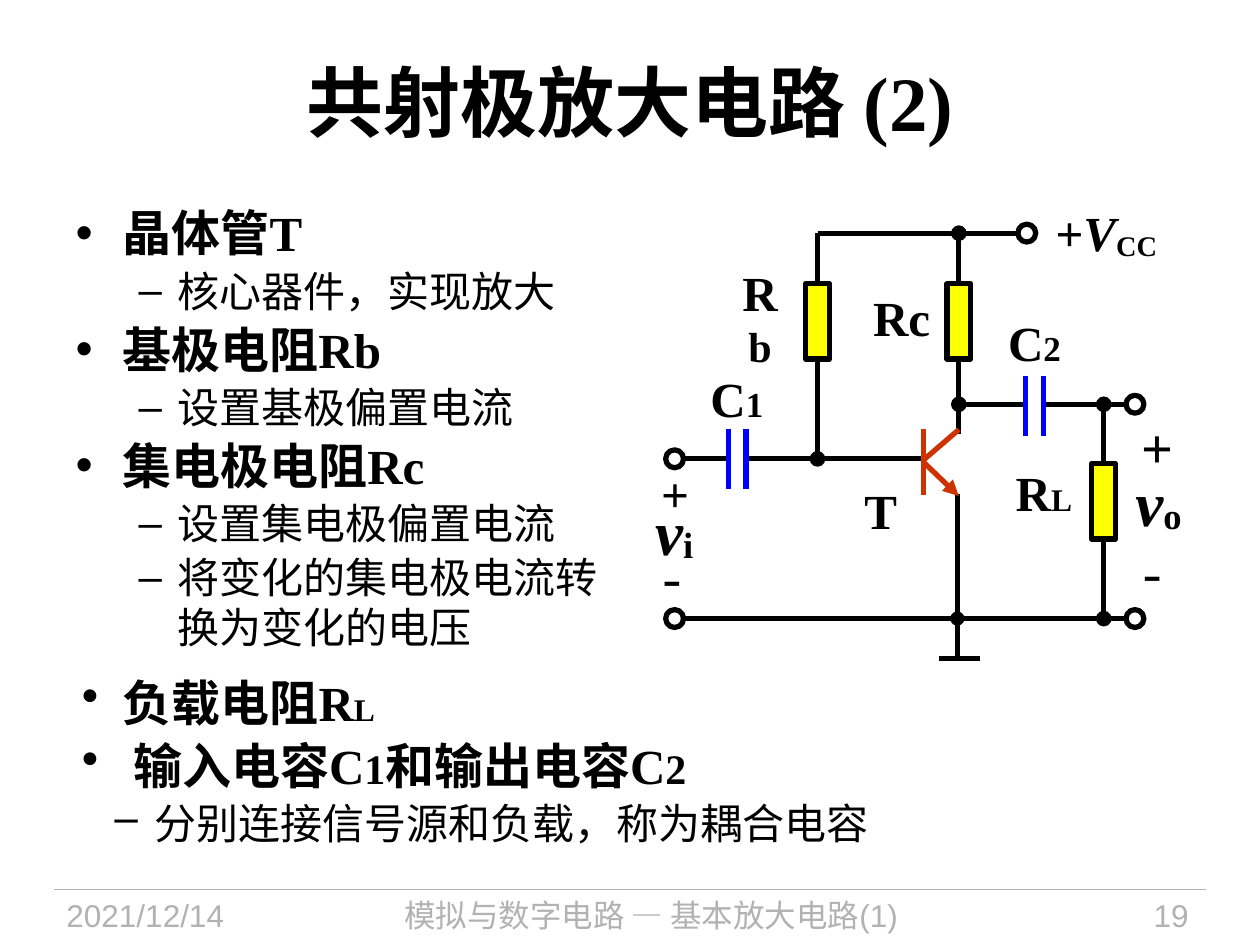
"""Build the slide about the common-emitter amplifier circuit."""
import pptx
import pptx.dml.color
import pptx.enum.shapes
import pptx.enum.text
import pptx.oxml
import pptx.oxml.ns
import pptx.util

Cm = pptx.util.Cm
Pt = pptx.util.Pt
SHAPE = pptx.enum.shapes.MSO_SHAPE
ALIGN = pptx.enum.text.PP_ALIGN
ANCHOR = pptx.enum.text.MSO_ANCHOR

SERIF, SANS = "Times New Roman", "Arial"
BLACK, GREY, BLUE, RED, YELLOW = "000000", "B2B2B2", "0000FF", "CC3300", "FFFF00"

TITLE = [("共射极放大电路 ", {}), ("(2)", {"name": SERIF})]
TITLE_FRAME = (1.27, 0.43, 22.86, 3.18)

BODY_FRAME = (1.27, 3.96, 11.33, 12.9)
BODY = [
    (0, 0.95, -0.95, [("晶体管T", {})]),
    (1, 2.06, -0.79, [("核心器件，实现放大", {})]),
    (0, 0.95, -0.95, [("基极电阻Rb", {})]),
    (1, 2.06, -0.79, [("设置基极偏置电流", {})]),
    (0, 0.95, -0.95, [("集电极电阻Rc", {})]),
    (1, 2.06, -0.79, [("设置集电极偏置电流", {})]),
    (1, 2.06, -0.79, [("将变化的集电极电流转换为变化的电压", {})]),
]
MORE_FRAME = (1.4, 13.44, 17.7, 3.89)
MORE = [
    (0, 0.83, -0.83, [("负载电阻R", {}), ("L", {"size": 18})]),
    (0, 1.04, -1.04, [("输入电容C", {}), ("1", {"size": 24}),
                      ("和输出电容C", {}), ("2", {"size": 24})]),
    (1, 1.47, -0.81, [("分别连接信号源和负载，称为耦合电容", {})]),
]

FOOTER = [
    ((1.09, 17.93, 4.78, 1.12), ALIGN.LEFT, "2021/12/14"),
    ((6.32, 17.93, 13.61, 1.12), ALIGN.CENTER, "模拟与数字电路 — 基本放大电路(1)"),
    ((20.83, 17.93, 3.38, 1.12), ALIGN.RIGHT, "19"),
]

PART_LABELS = [
    ((14.48, 5.66, 1.68, 1.45), [("R", {}), ("b", {"size": 24})]),
    ((17.35, 5.66, 1.65, 1.45), [("Rc", {})]),
    ((14.07, 7.29, 1.57, 1.45), [("C", {}), ("1", {"size": 20})]),
    ((20.07, 6.17, 1.57, 1.45), [("C", {}), ("2", {"size": 20})]),
    ((17.17, 9.55, 1.17, 1.45), [("T", {})]),
    ((20.22, 9.19, 1.65, 1.45), [("R", {}), ("L", {"size": 18})]),
]
SUPPLY_LABEL = ((21.03, 3.96, 2.69, 1.45),
                [("+", {}), ("V", {"italic": True}), ("CC", {"baseline": -10})])
INPUT_PLUS = ((13.08, 9.22, 1.55, 1.45), [("+", {})])
SIGNAL_LABELS = [
    ((13.36, 10.92, 0.38, 1.35), 32, False, [("-", {})]),
    ((13.21, 9.93, 0.79, 1.52), 36, True, [("v", {"italic": True}), ("i", {"baseline": -5})]),
    ((23.01, 8.31, 0.64, 1.35), 32, True, [("+", {})]),
    ((23.04, 10.82, 0.38, 1.35), 32, False, [("-", {})]),
    ((22.89, 9.35, 0.99, 1.52), 36, True, [("v", {"italic": True}), ("o", {"baseline": -5})]),
]

TOP, OUT, IN, GROUND = 4.7, 8.15, 9.25, 12.47
LEFT, RB, BASE, EMITTER, RC, SUPPLY, RL, RIGHT = 13.6, 16.48, 18.62, 19.3, 19.33, 20.7, 22.25, 22.88
GAP, PLATE, RADIUS = 0.18, 0.61, 0.18
C1, C2 = 14.86, 20.85

WIRES = [
    (RB, TOP, RB, IN, BLACK, None, "oval"),
    (RB, TOP, SUPPLY - RADIUS, TOP, BLACK, None, None),
    (RC, TOP, RC, 8.74, BLACK, "oval", None),
    (LEFT + RADIUS, IN, C1 - GAP, IN, BLACK, None, None),
    (C1 + GAP, IN, BASE, IN, BLACK, None, None),
    (RC, OUT, C2 - GAP, OUT, BLACK, "oval", None),
    (C2 + GAP, OUT, RIGHT - RADIUS, OUT, BLACK, None, None),
    (RL, OUT, RL, GROUND, BLACK, "oval", "oval"),
    (LEFT + RADIUS, GROUND, RIGHT - RADIUS, GROUND, BLACK, None, None),
    (EMITTER, 9.96, EMITTER, 13.26, BLACK, None, None),
    (18.92, 13.28, 19.76, 13.28, BLACK, None, None),
    (BASE, 8.64, BASE, 9.98, RED, None, None),
    (BASE, 9.27, RC, 8.66, RED, None, None),
    (BASE, 9.32, RC, 10.0, RED, None, "triangle"),
]
CAPACITORS = [(C1, IN), (C2, 8.18)]
RESISTORS = [(RB, 6.48), (RC, 6.48), (RL, 10.11)]
TERMINALS = [(SUPPLY, TOP), (LEFT, IN), (LEFT, GROUND), (RIGHT, OUT), (RIGHT, GROUND)]


def colour(target, value):
    target.rgb = pptx.dml.color.RGBColor.from_string(value)


def write(para, runs, name, size, bold=True, ink=BLACK):
    font = para.font
    font.name, font.size, font.bold = name, Pt(size), bold
    colour(font.color, ink)
    for text, style in runs:
        span = para.add_run()
        span.text = text
        if "name" in style:
            span.font.name = style["name"]
        if "size" in style:
            span.font.size = Pt(style["size"])
        if "italic" in style:
            span.font.italic = style["italic"]
        if "baseline" in style:
            span._r.get_or_add_rPr().set("baseline", str(style["baseline"] * 1000))


def place(box, frame):
    box.left, box.top, box.width, box.height = map(Cm, frame)


def add_text(page, frame, runs, size=28, bold=True, align=ALIGN.LEFT, name=SERIF,
             ink=BLACK, wrap=False, padded=True, anchor=ANCHOR.MIDDLE):
    text = page.shapes.add_textbox(*map(Cm, frame)).text_frame
    text.word_wrap, text.vertical_anchor = wrap, anchor
    if not padded:
        text.margin_left = text.margin_right = text.margin_top = text.margin_bottom = 0
    para = text.paragraphs[0]
    para.alignment = align
    write(para, runs, name, size, bold, ink)


def fill_list(text, items):
    text.word_wrap = True
    text.auto_size = pptx.enum.text.MSO_AUTO_SIZE.NONE
    for index, (level, margin, indent, runs) in enumerate(items):
        para = text.paragraphs[0] if index == 0 else text.add_paragraph()
        para.level = level
        para.space_before, para.space_after = Pt(0), Pt(2)
        write(para, runs, SANS if level else SERIF, 24 if level else 28, not level)
        props = para._p.get_or_add_pPr()
        props.set("marL", str(Cm(margin)))
        props.set("indent", str(Cm(indent)))
        bullet = pptx.oxml.parse_xml(
            f'<a:buChar {pptx.oxml.ns.nsdecls("a")} char="{"–" if level else "•"}"/>')
        props.insert_element_before(bullet, "a:tabLst", "a:defRPr", "a:extLst")


def add_line(page, x1, y1, x2, y2, ink=BLACK, head=None, tail=None, width=3):
    line = page.shapes.add_connector(
        pptx.enum.shapes.MSO_CONNECTOR.STRAIGHT, Cm(x1), Cm(y1), Cm(x2), Cm(y2))
    colour(line.line.color, ink)
    line.line.width = Pt(width)
    props = line._element.spPr
    for tag, kind in (("headEnd", head), ("tailEnd", tail)):
        if kind:
            props.get_or_add_ln().append(pptx.oxml.parse_xml(
                f'<a:{tag} {pptx.oxml.ns.nsdecls("a")} type="{kind}"/>'))
    props.append(pptx.oxml.parse_xml(f'<a:effectLst {pptx.oxml.ns.nsdecls("a")}/>'))


def add_part(page, kind, x, y, width, height, fill=None):
    part = page.shapes.add_shape(
        kind, Cm(x - width / 2), Cm(y - height / 2), Cm(width), Cm(height))
    part.shadow.inherit = False
    if fill:
        part.fill.solid()
        colour(part.fill.fore_color, fill)
    else:
        part.fill.background()
    colour(part.line.color, BLACK)
    part.line.width = Pt(3)


def add_circuit(page):
    for wire in WIRES:
        add_line(page, *wire)
    for x, y in CAPACITORS:
        for plate in (x - GAP, x + GAP):
            add_line(page, plate, y - PLATE, plate, y + PLATE, BLUE)
    for x, y in RESISTORS:
        add_part(page, SHAPE.RECTANGLE, x, y, 0.48, 1.52, YELLOW)
    for x, y in TERMINALS:
        add_part(page, SHAPE.OVAL, x, y, 2 * RADIUS, 2 * RADIUS)
    add_part(page, SHAPE.OVAL, EMITTER, GROUND, RADIUS, RADIUS, BLACK)
    for frame, runs in PART_LABELS:
        add_text(page, frame, runs, align=ALIGN.CENTER)
    add_text(page, *SUPPLY_LABEL)
    add_text(page, *INPUT_PLUS, wrap=True)
    for frame, size, bold, runs in SIGNAL_LABELS:
        add_text(page, frame, runs, size, bold, padded=False)


def main():
    deck = pptx.Presentation()
    deck.slide_width, deck.slide_height = Cm(25.4), Cm(19.05)
    page = deck.slides.add_slide(deck.slide_layouts[1])
    add_line(page, 1.09, 17.93, 24.31, 17.93, GREY, width=0.75)
    for frame, align, text in FOOTER:
        add_text(page, frame, [(text, {})], 18, False, align, SANS, GREY, True,
                 anchor=ANCHOR.TOP)
    title, body = page.shapes.title, page.placeholders[1]
    place(title, TITLE_FRAME)
    title.text_frame.vertical_anchor = ANCHOR.MIDDLE
    title.text_frame.paragraphs[0].alignment = ALIGN.CENTER
    write(title.text_frame.paragraphs[0], TITLE, SANS, 44)
    place(body, BODY_FRAME)
    fill_list(body.text_frame, BODY)
    add_circuit(page)
    fill_list(page.shapes.add_textbox(*map(Cm, MORE_FRAME)).text_frame, MORE)
    deck.save("out.pptx")


if __name__ == "__main__":
    main()
